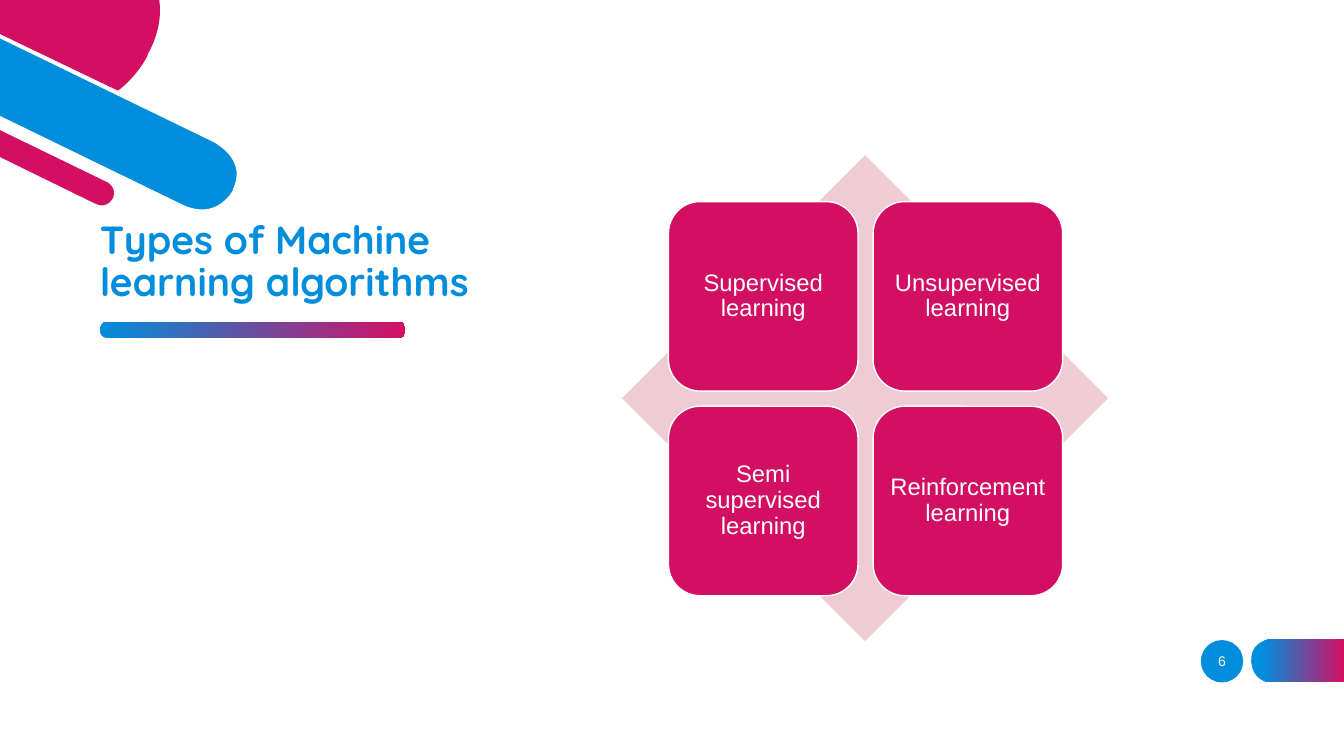
from lxml import etree
from pptx import Presentation, util as u
from pptx.dml.color import RGBColor
from pptx.enum import shapes, text
from pptx.oxml import ns

COLORS = {"blue": "008EDC", "crimson": "D30F64", "pink": "EFCCD3", "white": "FFFFFF"}
RGB = {name: RGBColor.from_string(value) for name, value in COLORS.items()}

prs = Presentation()
prs.slide_width, prs.slide_height = u.Inches(13.33), u.Inches(7.5)
col, row = prs.slide_width / 13.33, prs.slide_height / 7.5
s = prs.slides.add_slide(prs.slide_layouts[5])


def paint(sp, fill, gradient_start=0):
    sp.shadow.inherit = False
    sp.line.fill.background()
    if fill == "gradient":
        sp.fill.gradient()
        sp.fill.gradient_angle = 0
        for stop, name, position in zip(sp.fill.gradient_stops, ("blue", "crimson"), (gradient_start, 1)):
            stop.color.rgb = RGB[name]
            stop.position = position
    else:
        sp.fill.solid()
        sp.fill.fore_color.rgb = RGB[fill]


def outline(segments):
    points = [(round(seg[i] * col), round(seg[i + 1] * row))
              for seg in segments for i in range(0, len(seg), 2)]
    builder = s.shapes.build_freeform(*points[0], scale=1.0)
    builder.add_line_segments(points[1:], close=True)
    sp = builder.convert_to_shape()
    lines = iter(list(sp._element.iter(ns.qn("a:lnTo"))))
    for seg in segments[1:]:
        first = next(lines)
        if len(seg) == 6:
            curve = etree.Element(ns.qn("a:cubicBezTo"))
            first.addprevious(curve)
            for line in (first, next(lines), next(lines)):
                curve.append(line[0])
                line.getparent().remove(line)
    return sp


page_tab = [(12.62, 6.77), (13.33, 6.77), (13.33, 6.34), (12.62, 6.34),
            (12.62, 6.34, 12.41, 6.34, 12.41, 6.55), (12.41, 6.56),
            (12.41, 6.56, 12.41, 6.77, 12.62, 6.77)]
circle_rim = [(0.01, 0.81), (0.28, 0.94), (0.6, 1.1, 0.89, 1.08, 1.15, 0.89),
              (1.34, 0.74, 1.44, 0.55, 1.44, 0.55), (1.46, 0.52), (1.55, 0.34, 1.58, 0.16, 1.56, 0),
              (1.6, 0), (1.62, 0.17, 1.59, 0.35, 1.49, 0.54), (1.48, 0.57),
              (1.47, 0.58, 1.37, 0.77, 1.17, 0.92), (1.06, 1.01, 0.9, 1.09, 0.69, 1.09),
              (0.56, 1.09, 0.42, 1.06, 0.26, 0.98), (0.01, 0.86)]
wide_bar = [(2.12, 1.39), (2.12, 1.39, 2.49, 1.57, 2.33, 1.89), (2.32, 1.9),
            (2.32, 1.9, 2.16, 2.22, 1.8, 2.04), (0, 1.17), (0, 0.36)]
circle = [(1.46, 0.56), (1.46, 0.56, 1.36, 0.76, 1.17, 0.9), (0, 0.34), (0, 0), (1.58, 0),
          (1.6, 0.15, 1.58, 0.33, 1.47, 0.53)]
thin_bar = [(0, 1.26), (1.06, 1.78), (1.06, 1.78, 1.2, 1.85, 1.14, 1.97), (1.14, 1.98),
            (1.14, 1.98, 1.07, 2.11, 0.93, 2.04), (0, 1.58)]
thin_rim = [(0.94, 2.02), (1.06, 2.08, 1.11, 1.98, 1.12, 1.97), (1.17, 1.86, 1.06, 1.8, 1.05, 1.8),
            (0, 1.29), (0, 1.24), (1.07, 1.76), (1.07, 1.76, 1.15, 1.8, 1.17, 1.87),
            (1.18, 1.91, 1.18, 1.95, 1.16, 1.99), (1.14, 2.03, 1.09, 2.08, 1.01, 2.08),
            (0.99, 2.08, 0.96, 2.08, 0.93, 2.06), (0, 1.61), (0, 1.56)]
wide_rim = [(1.81, 2.03), (2.15, 2.19, 2.3, 1.9, 2.31, 1.89), (2.31, 1.88),
            (2.37, 1.75, 2.36, 1.64, 2.27, 1.53), (2.21, 1.46, 2.12, 1.41, 2.12, 1.41),
            (0, 0.38), (0, 0.34), (2.14, 1.37), (2.14, 1.38, 2.32, 1.46, 2.37, 1.63),
            (2.4, 1.71, 2.39, 1.8, 2.35, 1.9), (2.34, 1.91), (2.34, 1.91, 2.23, 2.12, 2.01, 2.12),
            (1.94, 2.12, 1.87, 2.1, 1.79, 2.06), (0, 1.19), (0, 1.15)]
underline = [(3.96, 3.35), (1.05, 3.35), (1.02, 3.35, 0.99, 3.32, 0.99, 3.27),
             (0.99, 3.23, 1.02, 3.19, 1.05, 3.19), (3.96, 3.19), (3.99, 3.19, 4.02, 3.23, 4.02, 3.27),
             (4.02, 3.32, 4, 3.35, 3.96, 3.35)]

oval = s.shapes.add_shape(shapes.MSO_SHAPE.OVAL, round(11.91 * col), round(6.35 * row),
                          round(0.42 * col), round(0.42 * row))
paint(oval, "blue")

for segments, fill, start in [
    (page_tab, "gradient", 0.12), (circle_rim, "white", 0), (wide_bar, "blue", 0),
    (circle, "crimson", 0), (thin_bar, "crimson", 0), (thin_rim, "white", 0),
    (wide_rim, "white", 0), (underline, "gradient", 0),
]:
    paint(outline(segments), fill, start)

title = s.shapes.title
title.left, title.top = round(0.89 * col), round(2.34 * row)
title.width, title.height = round(4.83 * col), round(0.74 * row)
tf = title.text_frame
tf.text = "Types of Machine learning algorithms"
tf.auto_size = text.MSO_AUTO_SIZE.NONE
tf.word_wrap = True
tf.vertical_anchor = text.MSO_ANCHOR.BOTTOM
p = tf.paragraphs[0]
p.alignment = text.PP_ALIGN.LEFT
p.line_spacing = 0.9
p.font.name, p.font.size, p.font.bold = "Quicksand", u.Pt(28), True
p.font.color.rgb = RGB["blue"]

diamond = s.shapes.add_shape(shapes.MSO_SHAPE.DIAMOND, round(6.17 * col), round(1.54 * row),
                             round(4.82 * col), round(4.82 * row))
paint(diamond, "pink")

TILE_LEFT, TILE_TOP, TILE, PITCH = 6.63, 2, 1.88, 2.03
labels = ["Supervised learning", "Unsupervised learning", "Semi supervised learning", "Reinforcement learning"]
captions = []
for i, label in enumerate(labels):
    sp = s.shapes.add_shape(shapes.MSO_SHAPE.ROUNDED_RECTANGLE,
                            round((TILE_LEFT + i % 2 * PITCH) * col), round((TILE_TOP + i // 2 * PITCH) * row),
                            round(TILE * col), round(TILE * row))
    paint(sp, "crimson")
    sp.line.color.rgb = RGB["white"]
    sp.line.width = u.Pt(1)
    captions.append((sp, label, 17, 0.9))

number = s.shapes.add_textbox(round(11.82 * col), round(6.36 * row), round(0.6 * col), round(0.4 * row))
captions.append((number, "6", 10, 1.0))

for sp, label, size, spacing in captions:
    tf = sp.text_frame
    tf.word_wrap = True
    tf.vertical_anchor = text.MSO_ANCHOR.MIDDLE
    tf.margin_left = tf.margin_right = tf.margin_top = tf.margin_bottom = u.Inches(0.06)
    tf.text = label
    p = tf.paragraphs[0]
    p.alignment = text.PP_ALIGN.CENTER
    p.line_spacing = spacing
    p.font.name, p.font.size = "Arial", u.Pt(size)
    p.font.color.rgb = RGB["white"]

prs.save("out.pptx")
